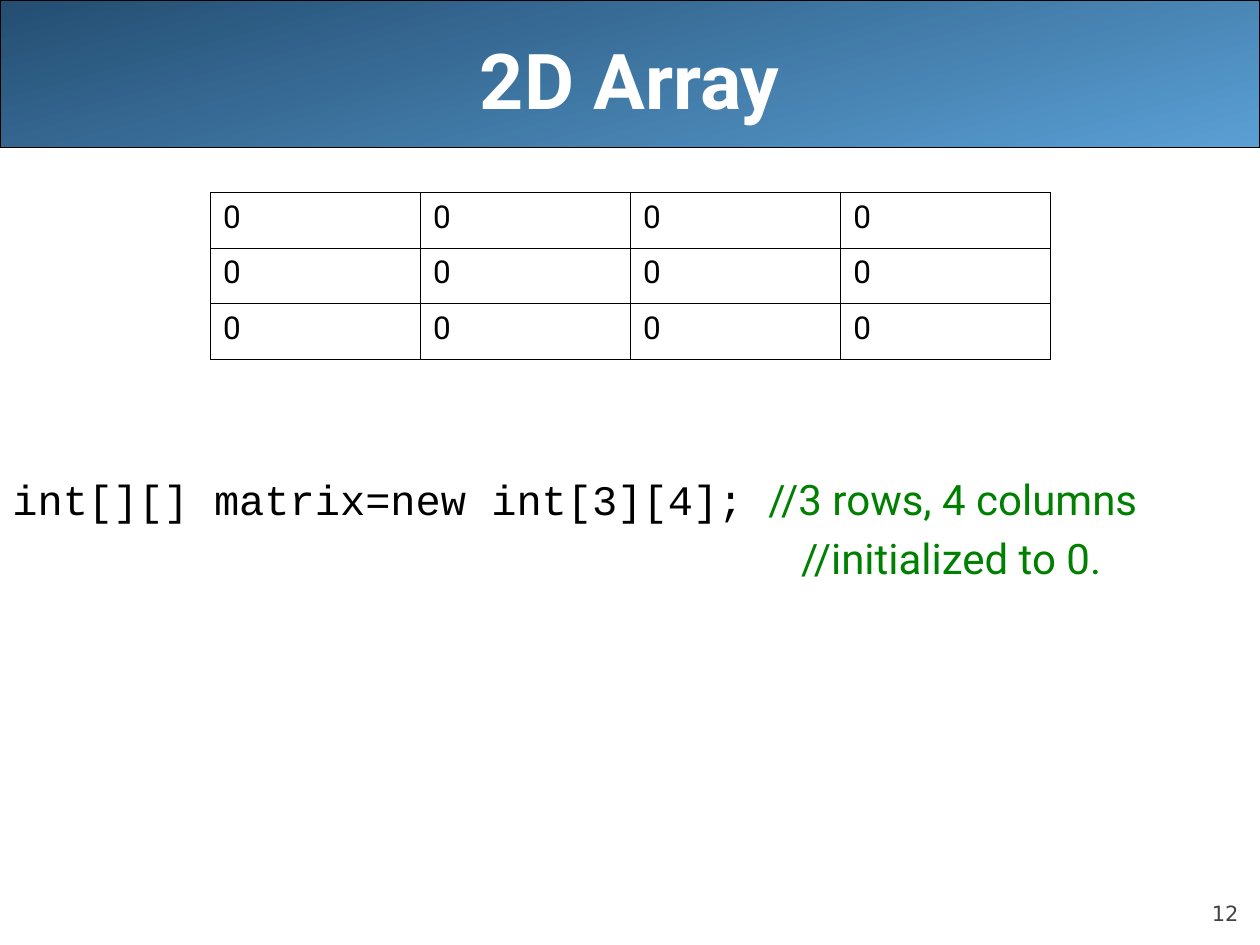
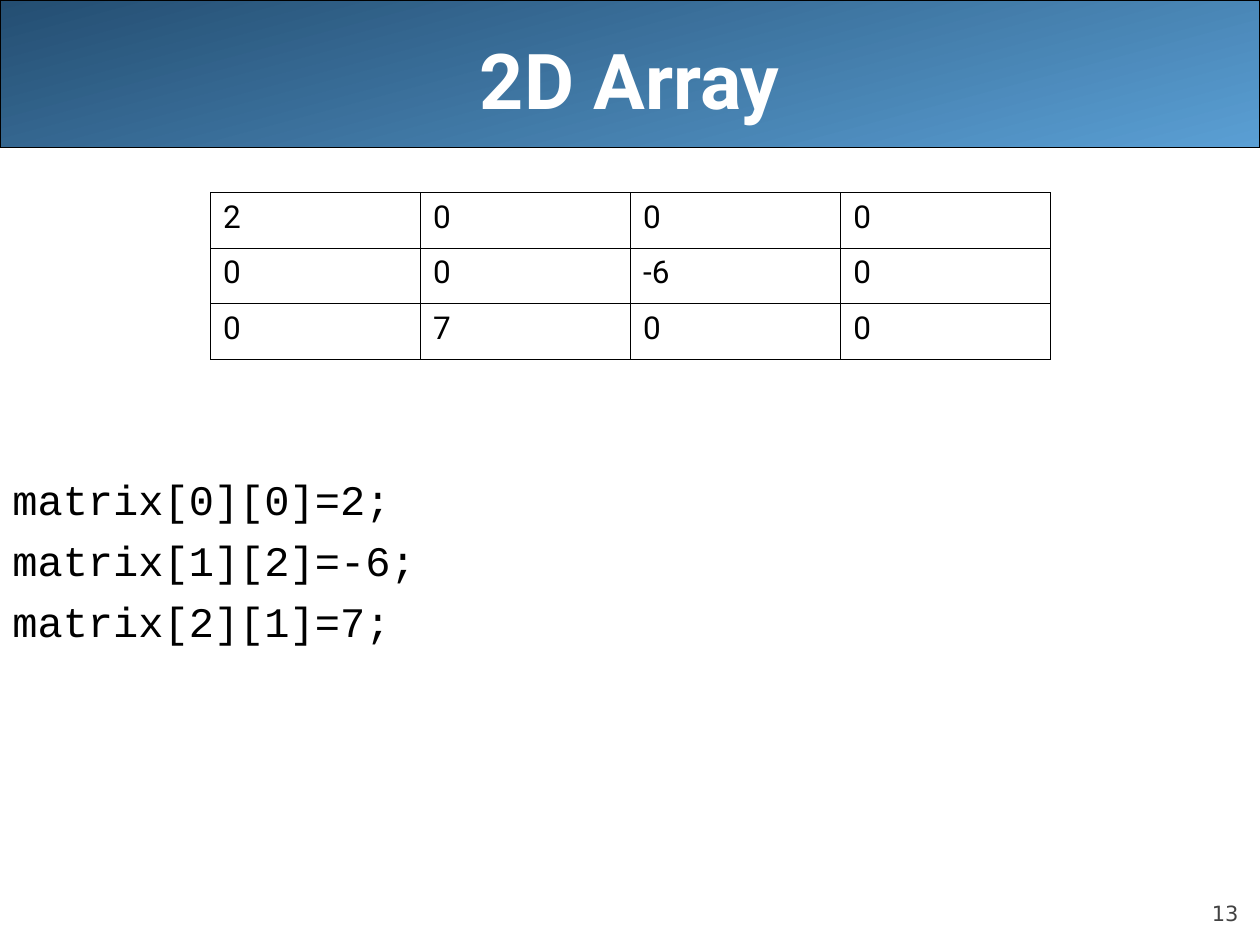
from lxml.etree import SubElement
from pptx import Presentation
from pptx.dml.color import RGBColor
from pptx.enum.shapes import MSO_SHAPE
from pptx.enum.text import MSO_ANCHOR, PP_ALIGN
from pptx.oxml.ns import qn
from pptx.util import Inches, Pt

BLACK = RGBColor(0x00, 0x00, 0x00)
WHITE = RGBColor(0xFF, 0xFF, 0xFF)
BAND_LIGHT = RGBColor(0x5A, 0x9F, 0xD4)
BAND_DARK = RGBColor(0x24, 0x4E, 0x72)
COMMENT_GREEN = RGBColor(0x00, 0x80, 0x00)
NUMBER_GRAY = RGBColor(0x42, 0x42, 0x42)

TEXT_FONT = "Roboto"
CODE_FONT = "Courier New"
NUMBER_FONT = "DejaVu Sans"
LINE_SPACING = {CODE_FONT: Pt(35), TEXT_FONT: Pt(34)}


def style_font(font, name, size, color, bold=False):
    font.name = name
    font.size = Pt(size)
    font.color.rgb = color
    font.bold = bold


def add_text_box(slide, left, top, width, height, anchor=MSO_ANCHOR.TOP):
    box = slide.shapes.add_textbox(
        Inches(left), Inches(top), Inches(width), Inches(height))
    frame = box.text_frame
    frame.word_wrap = True
    frame.vertical_anchor = anchor
    return frame


def add_title_band(slide, title):
    band = slide.shapes.add_shape(
        MSO_SHAPE.ROUNDED_RECTANGLE, 0, 0, Inches(10), Inches(1.17))
    band.adjustments[0] = 0
    band.shadow.inherit = False
    band.fill.gradient()
    band.fill.gradient_angle = 105
    for stop, color in zip(band.fill.gradient_stops, (BAND_LIGHT, BAND_DARK)):
        stop.color.rgb = color
    band.line.color.rgb = BLACK
    band.line.width = Pt(0.75)

    paragraph = add_text_box(slide, 0.5, 0, 9, 1.25, MSO_ANCHOR.MIDDLE).paragraphs[0]
    paragraph.text = title
    paragraph.alignment = PP_ALIGN.CENTER
    style_font(paragraph.font, TEXT_FONT, 44, WHITE, bold=True)


def add_slide_number(slide, number):
    frame = add_text_box(slide, 9, 6.95, 0.83, 0.4, MSO_ANCHOR.BOTTOM)
    frame.margin_left = frame.margin_right = 0
    frame.margin_top = frame.margin_bottom = 0
    paragraph = frame.paragraphs[0]
    paragraph.text = str(number)
    paragraph.alignment = PP_ALIGN.RIGHT
    style_font(paragraph.font, NUMBER_FONT, 12, NUMBER_GRAY)


def add_cell_borders(cell):
    properties = cell._tc.get_or_add_tcPr()
    for position, side in enumerate(("a:lnL", "a:lnR", "a:lnT", "a:lnB")):
        line = SubElement(properties, qn(side), w=str(Pt(0.45)))
        fill = SubElement(line, qn("a:solidFill"))
        SubElement(fill, qn("a:srgbClr"), val=str(BLACK))
        properties.insert(position, line)


def add_matrix(slide, matrix):
    table = slide.shapes.add_table(
        len(matrix), len(matrix[0]),
        Inches(1.67), Inches(1.53), Inches(6.67), Inches(1.33)).table
    table.first_row = False
    table.horz_banding = False
    for row, values in zip(table.rows, matrix):
        row.height = Inches(0.44)
        for cell, value in zip(row.cells, values):
            cell.text = str(value)
            cell.fill.background()
            add_cell_borders(cell)
            style_font(cell.text_frame.paragraphs[0].font, TEXT_FONT, 18, BLACK)


def add_code(slide, lines):
    """Each line is an indent in inches and a list of (text, font, color) parts."""
    frame = add_text_box(slide, 0, 3.62, 10, 1.6)
    for index, (indent, parts) in enumerate(lines):
        paragraph = frame.add_paragraph() if index else frame.paragraphs[0]
        paragraph.line_spacing = LINE_SPACING[parts[0][1]]
        paragraph._p.get_or_add_pPr().set("marL", str(Inches(indent)))
        for text, font_name, color in parts:
            run = paragraph.add_run()
            run.text = text
            style_font(run.font, font_name, 24, color)


def code(text):
    return text, CODE_FONT, BLACK


def comment(text):
    return text, TEXT_FONT, COMMENT_GREEN


def add_array_slide(presentation, number, matrix, lines):
    slide = presentation.slides.add_slide(presentation.slide_layouts[6])
    add_title_band(slide, "2D Array")
    add_slide_number(slide, number)
    add_code(slide, lines)
    add_matrix(slide, matrix)


def main():
    presentation = Presentation()
    presentation.slide_width = Inches(10)
    presentation.slide_height = Inches(7.5)

    add_array_slide(presentation, 12, [[0] * 4] * 3, [
        (0, [code("int[][] matrix=new int[3][4]; "), comment("//3 rows, 4 columns")]),
        (6.26, [comment("//initialized to 0.")]),
    ])
    assignments = ["matrix[0][0]=2;", "matrix[1][2]=-6;", "matrix[2][1]=7;"]
    add_array_slide(
        presentation, 13,
        [[2, 0, 0, 0], [0, 0, -6, 0], [0, 7, 0, 0]],
        [(0, [code(assignment)]) for assignment in assignments])

    presentation.save("out.pptx")


if __name__ == "__main__":
    main()
